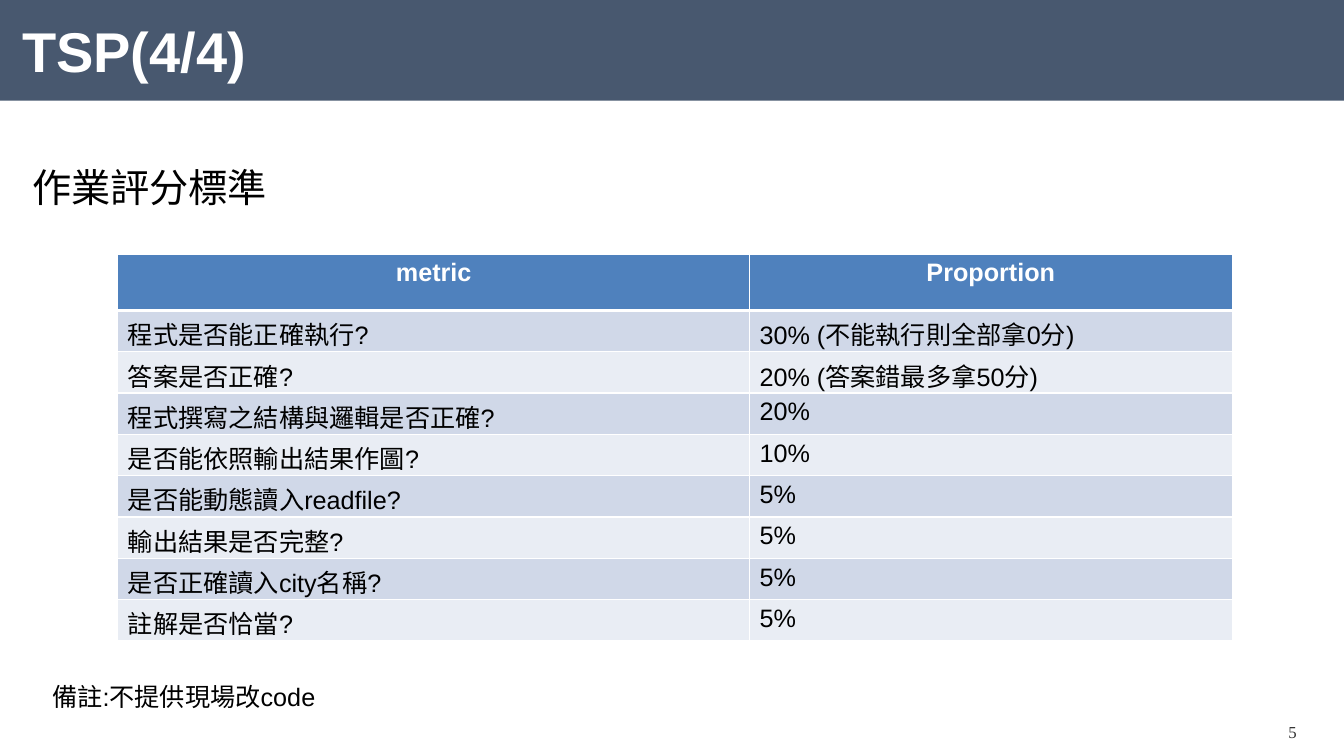
import pptx
import pptx.util
import pptx.dml.color
import pptx.enum.shapes
import pptx.enum.text
import lxml.etree
import pptx.oxml.ns

Inches, Pt = pptx.util.Inches, pptx.util.Pt
RGBColor = pptx.dml.color.RGBColor
PP_ALIGN = pptx.enum.text.PP_ALIGN
ANCHOR = pptx.enum.text.MSO_ANCHOR
qn = pptx.oxml.ns.qn

SLATE = RGBColor(0x48, 0x58, 0x6F)
BLUE = RGBColor(0x4F, 0x81, 0xBD)
BANDS = [RGBColor(0xD0, 0xD8, 0xE8), RGBColor(0xE9, 0xED, 0xF4)]
WHITE = RGBColor(0xFF, 0xFF, 0xFF)
BLACK = RGBColor(0, 0, 0)
GREY = RGBColor(0x33, 0x33, 0x33)

prs = pptx.Presentation()
prs.slide_width, prs.slide_height = Inches(13.34), Inches(7.5)
s = prs.slides.add_slide(prs.slide_layouts[6])


def write(tf, text, size, color, bold=False, align=PP_ALIGN.LEFT, font="Arial"):
    p = tf.paragraphs[0]
    p.alignment = align
    r = p.add_run()
    r.text = text
    r.font.name, r.font.size, r.font.bold = font, Pt(size), bold
    r.font.color.rgb = color
    return p


def add_border(cell, side, index, width):
    ln = lxml.etree.Element(qn("a:" + side), w=str(Pt(width)))
    fill = lxml.etree.SubElement(ln, qn("a:solidFill"))
    lxml.etree.SubElement(fill, qn("a:srgbClr"), val=str(WHITE))
    cell._tc.get_or_add_tcPr().insert(index, ln)


# Title band
band = s.shapes.add_shape(pptx.enum.shapes.MSO_SHAPE.RECTANGLE,
                          0, 0, prs.slide_width, Inches(1))
band.shadow.inherit = False
band.fill.solid()
band.fill.fore_color.rgb = SLATE
band.line.fill.background()

# Title
tf = s.shapes.add_textbox(Inches(0.22), Inches(0.17), Inches(11.24), Inches(0.74)).text_frame
tf.word_wrap = True
tf.vertical_anchor = ANCHOR.MIDDLE
tf.margin_left = tf.margin_right = tf.margin_top = tf.margin_bottom = 0
write(tf, "TSP(4/4)", 40, WHITE, bold=True).line_spacing = 0.9

# Heading, note and page number
for left, top, width, height, text, size, color, align, font in [
    (0.22, 1.57, 2.56, 0.57, "作業評分標準", 28, BLACK, PP_ALIGN.LEFT, "Arial"),
    (0.42, 6.71, 2.84, 0.4, "備註:不提供現場改code", 18, BLACK, PP_ALIGN.LEFT, "Arial"),
    (12.22, 7.11, 1.22, 0.28, "5", 12, GREY, PP_ALIGN.CENTER, "Times New Roman"),
]:
    tf = s.shapes.add_textbox(Inches(left), Inches(top), Inches(width), Inches(height)).text_frame
    tf.word_wrap = True
    write(tf, text, size, color, align=align, font=font)

# Grading table
rows = [
    ("metric", "Proportion"),
    ("程式是否能正確執行?", "30% (不能執行則全部拿0分)"),
    ("答案是否正確?", "20% (答案錯最多拿50分)"),
    ("程式撰寫之結構與邏輯是否正確?", "20%"),
    ("是否能依照輸出結果作圖?", "10%"),
    ("是否能動態讀入readfile?", "5%"),
    ("輸出結果是否完整?", "5%"),
    ("是否正確讀入city名稱?", "5%"),
    ("註解是否恰當?", "5%"),
]
table = s.shapes.add_table(len(rows), 2, Inches(1.17), Inches(2.52),
                           Inches(11.06), Inches(3.81)).table
for column, width in zip(table.columns, (6.27, 4.79)):
    column.width = Inches(width)
for i, row in enumerate(rows):
    header = i == 0
    table.rows[i].height = Inches(0.56 if header else 0.41)
    for j, text in enumerate(row):
        cell = table.cell(i, j)
        cell.fill.solid()
        cell.fill.fore_color.rgb = BLUE if header else BANDS[(i - 1) % 2]
        write(cell.text_frame, text, 18, WHITE if header else BLACK, bold=header,
              align=PP_ALIGN.CENTER if header else PP_ALIGN.LEFT)
        # Thicker rule between header and body
        widths = {"lnL": 1, "lnR": 1, "lnT": 3 if i == 1 else 1, "lnB": 3 if header else 1}
        for index, (side, width) in enumerate(widths.items()):
            add_border(cell, side, index, width)

prs.save("out.pptx")
